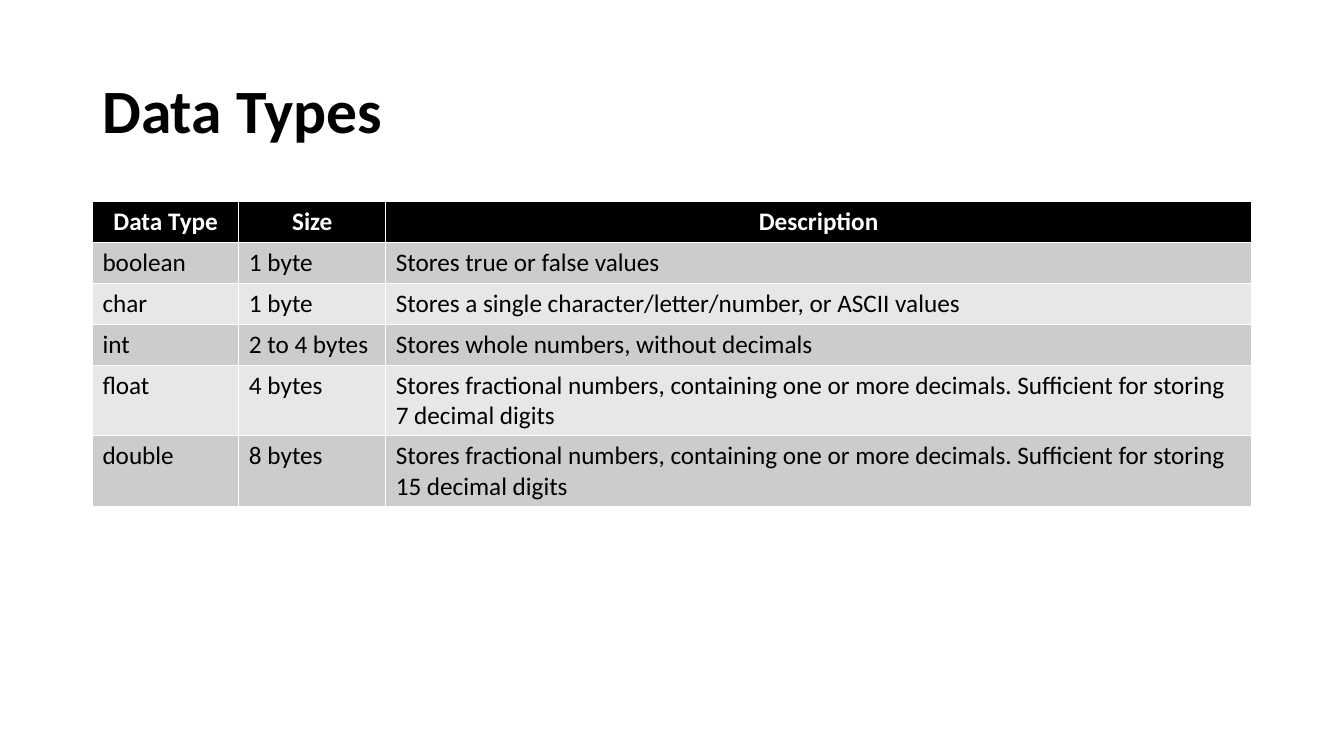
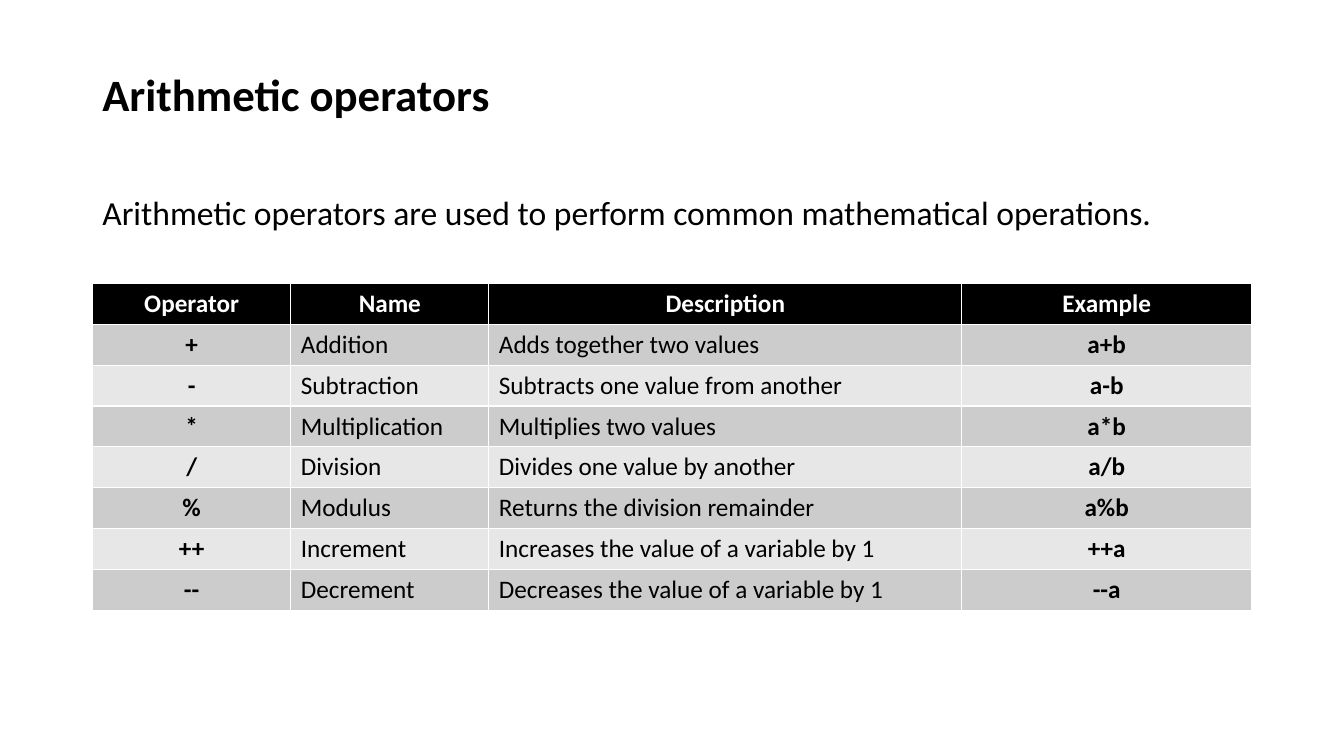
from pptx import Presentation
from pptx.dml.color import RGBColor
from pptx.enum import text
from pptx.util import Cm, Pt

BLACK, WHITE = "000000", "FFFFFF"
BANDS = ("CCCCCC", "E7E7E7")
LEFT, WIDTH = 2.33, 29.21
ROW_HEIGHT = 1.03


def rgb(value):
    return RGBColor.from_string(value)


def write(tf, content, size=18, color=BLACK, bold=False, center=False, spacing=1.0):
    p = tf.paragraphs[0]
    p.alignment = text.PP_ALIGN.CENTER if center else text.PP_ALIGN.LEFT
    p.line_spacing = spacing
    r = p.add_run()
    r.text = content
    font = r.font
    font.name, font.size, font.bold = "Calibri", Pt(size), bold
    font.color.rgb = rgb(color)


class Deck:
    """Holds the presentation, its shared style and the current slide."""

    def __init__(self):
        self.prs = Presentation()
        self.prs.slide_width, self.prs.slide_height = Cm(33.87), Cm(19.05)
        self.s = None

    def add_slide(self):
        self.s = self.prs.slides.add_slide(self.prs.slide_layouts[6])

    def add_text(self, content, top, height, width=WIDTH,
                 anchor=text.MSO_ANCHOR.TOP, **style):
        sp = self.s.shapes.add_textbox(Cm(LEFT), Cm(top), Cm(width), Cm(height))
        tf = sp.text_frame
        tf.word_wrap = True
        tf.vertical_anchor = anchor
        write(tf, content, **style)

    def add_title(self, content, size=44, top=1.01):
        self.add_text(content, top, 3.68, anchor=text.MSO_ANCHOR.MIDDLE,
                      size=size, bold=True, spacing=0.9)

    def add_table(self, top, widths, rows, key_columns=()):
        """Draw a banded table; key columns are bold and centred."""
        table = self.s.shapes.add_table(
            len(rows), len(widths), Cm(LEFT), Cm(top),
            Cm(WIDTH), Cm(ROW_HEIGHT * len(rows))).table
        for column, width in zip(table.columns, widths):
            column.width = Cm(width)
        for i, row in enumerate(rows):
            table.rows[i].height = Cm(ROW_HEIGHT)
            header = i == 0
            for j, content in enumerate(row):
                cell = table.cell(i, j)
                cell.fill.solid()
                cell.fill.fore_color.rgb = rgb(BLACK if header else BANDS[(i - 1) % 2])
                strong = header or j in key_columns
                write(cell.text_frame, content, bold=strong, center=strong,
                      color=WHITE if header else BLACK)


DATA_TYPES = [
    ("Data Type", "Size", "Description"),
    ("boolean", "1 byte", "Stores true or false values"),
    ("char", "1 byte", "Stores a single character/letter/number, or ASCII values"),
    ("int", "2 to 4 bytes", "Stores whole numbers, without decimals"),
    ("float", "4 bytes", "Stores fractional numbers, containing one or more decimals. "
                         "Sufficient for storing 7 decimal digits"),
    ("double", "8 bytes", "Stores fractional numbers, containing one or more decimals. "
                          "Sufficient for storing 15 decimal digits"),
]

OPERATORS = [
    ("Operator", "Name", "Description", "Example"),
    ("+", "Addition", "Adds together two values", "a+b"),
    ("-", "Subtraction", "Subtracts one value from another", "a-b"),
    ("*", "Multiplication", "Multiplies two values", "a*b"),
    ("/", "Division", "Divides one value by another", "a/b"),
    ("%", "Modulus", "Returns the division remainder", "a%b"),
    ("++", "Increment", "Increases the value of a variable by 1", "++a"),
    ("--", "Decrement", "Decreases the value of a variable by 1", "--a"),
]


def main():
    deck = Deck()

    deck.add_slide()
    deck.add_title("Data Types")
    deck.add_table(5.08, (3.69, 3.7, 21.82), DATA_TYPES)

    deck.add_slide()
    deck.add_title("Arithmetic operators", size=32, top=0.6)
    deck.add_table(7.14, (5, 4.99, 11.92, 7.3), OPERATORS, key_columns=(0, 3))
    deck.add_text("Arithmetic operators are used to perform common mathematical operations.",
                  4.7, 1.28, width=27.81, size=24)

    deck.prs.save("out.pptx")


if __name__ == "__main__":
    main()
